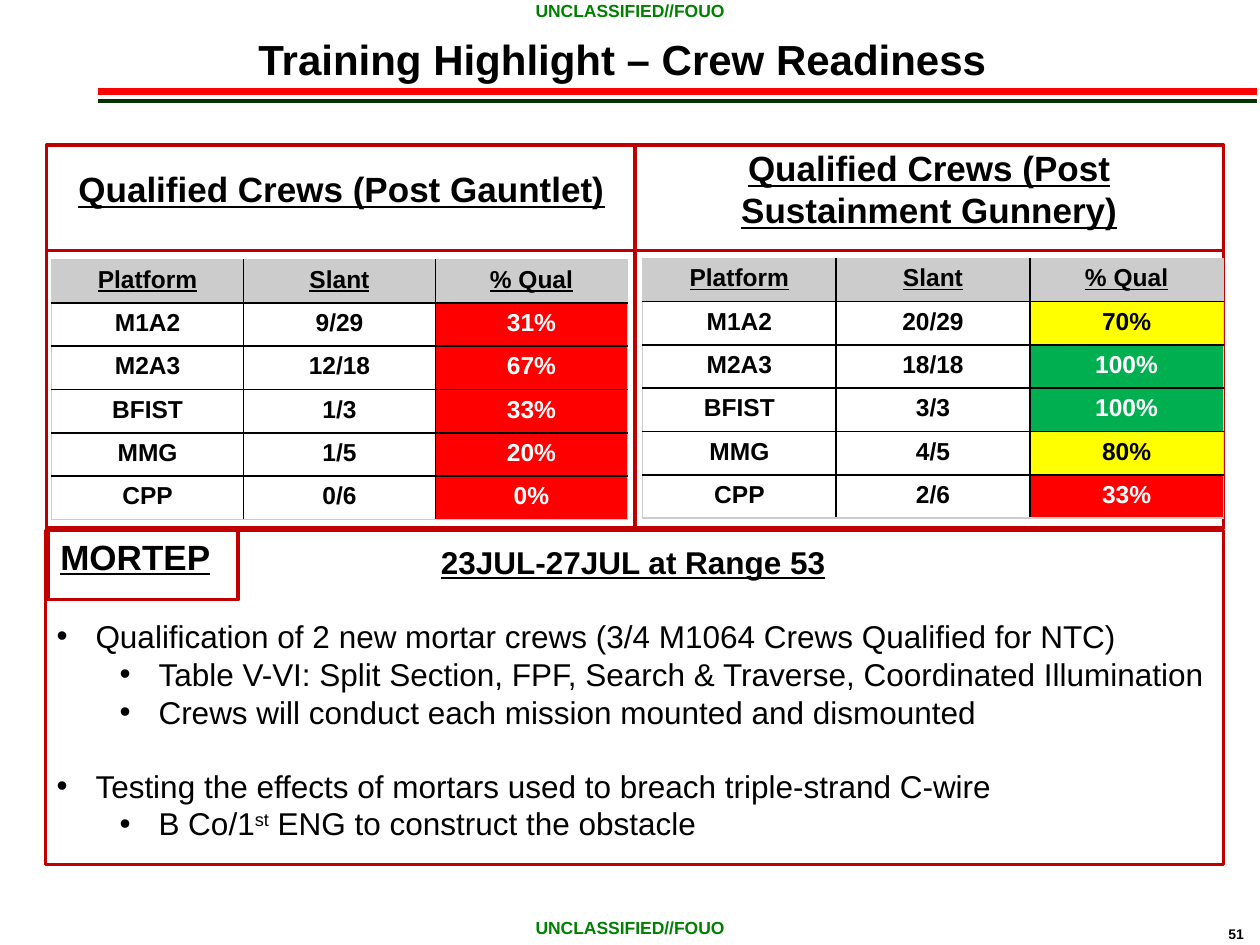
from lxml import etree
from pptx import Presentation
from pptx import util as u
from pptx.dml.color import RGBColor
from pptx.enum import shapes, text
from pptx.oxml import ns

BLACK = RGBColor(0, 0, 0)
WHITE = RGBColor(255, 255, 255)
RED = RGBColor(255, 0, 0)
YELLOW = RGBColor(255, 255, 0)
GREEN = RGBColor(0, 0xB0, 0x50)
GRAY = RGBColor(0xCC, 0xCC, 0xCC)
CRIMSON = RGBColor(0xC0, 0, 0)
MARKING_GREEN = RGBColor(0, 0x80, 0)
DARK_GREEN = RGBColor(0, 0x33, 0)

CENTER = text.PP_ALIGN.CENTER
LEFT = text.PP_ALIGN.LEFT
TOP = text.MSO_ANCHOR.TOP
MIDDLE = text.MSO_ANCHOR.MIDDLE

TITLE = "Training Highlight – Crew Readiness"
MARKING = "UNCLASSIFIED//FOUO"
PAGE_NUMBER = "51"
RULES = [(0.73, RED, 4), (0.8, DARK_GREEN, 2.25)]
COLUMNS = ["Platform", "Slant", "% Qual"]
PANELS = [
    {
        "heading": "Qualified Crews (Post Gauntlet)",
        "panel": (0.37, 4.68),
        "table": (0.41, 2.06, 4.57),
        "crews": [("M1A2", "9/29", 31), ("M2A3", "12/18", 67), ("BFIST", "1/3", 33),
                  ("MMG", "1/5", 20), ("CPP", "0/6", 0)],
    },
    {
        "heading": "Qualified Crews (Post Sustainment Gunnery)",
        "panel": (5.04, 4.67),
        "table": (5.1, 2.05, 4.61),
        "crews": [("M1A2", "20/29", 70), ("M2A3", "18/18", 100), ("BFIST", "3/3", 100),
                  ("MMG", "4/5", 80), ("CPP", "2/6", 33)],
    },
]
MORTAR_LABEL = "MORTEP"
MORTAR_DATE = "23JUL-27JUL at Range 53"
MORTAR_NOTES = [
    (0, ["Qualification of 2 new mortar crews (3/4 M1064 Crews Qualified for NTC)"]),
    (1, ["Table V-VI: Split Section, FPF, Search & Traverse, Coordinated Illumination"]),
    (1, ["Crews will conduct each mission mounted and dismounted"]),
    (0, ["Testing the effects of mortars used to breach triple-strand C-wire"]),
    (1, ["B Co/1", "st", " ENG to construct the obstacle"]),
]
ROW_HEIGHT = 0.344
BLANK_LINE = 20.7


def set_font(font, size, color=BLACK, **extra):
    values = {"name": "Arial", "size": u.Pt(size), **extra}
    for name, value in values.items():
        setattr(font, name, value)
    font.color.rgb = color


def write(box, content, size, color=BLACK, align=CENTER, anchor=TOP, wrap=True, **extra):
    frame = box.text_frame
    frame.word_wrap = wrap
    frame.vertical_anchor = anchor
    para = frame.paragraphs[0]
    para.alignment = align
    span = para.add_run()
    span.text = content
    set_font(span.font, size, color, bold=True, **extra)
    return frame


def add_text(page, place, content, size, **extra):
    box = page.shapes.add_textbox(*map(u.Inches, place))
    return write(box, content, size, **extra)


def add_frame(page, place):
    box = page.shapes.add_shape(shapes.MSO_SHAPE.RECTANGLE, *map(u.Inches, place))
    box.shadow.inherit = False
    box.fill.solid()
    box.fill.fore_color.rgb = WHITE
    box.line.color.rgb = CRIMSON
    box.line.width = u.Pt(2)
    return box


def add_heading(page, place, content, align=CENTER):
    frame = write(add_frame(page, place), content, 20, align=align, anchor=MIDDLE, underline=True)
    frame.margin_top = u.Inches(0.03)
    frame.margin_bottom = u.Inches(0.17)


def add_rule(page, y, color, width):
    ends = [u.Inches(value) for value in (0.78, y, 9.98, y)]
    line = page.shapes.add_connector(shapes.MSO_CONNECTOR.STRAIGHT, *ends)
    line.line.color.rgb = color
    line.line.width = u.Pt(width)
    etree.SubElement(line._element.spPr, ns.qn("a:effectLst"))


def add_borders(cell, outer_sides):
    props = cell._tc.get_or_add_tcPr()
    for side in "LRTB":
        line = etree.SubElement(props, ns.qn("a:ln" + side), w=str(u.Pt(1)))
        fill = etree.SubElement(line, ns.qn("a:solidFill"))
        color = GRAY if side in outer_sides else BLACK
        etree.SubElement(fill, ns.qn("a:srgbClr"), val=str(color))


def status_color(percent):
    if percent >= 90:
        return GREEN
    return YELLOW if percent >= 70 else RED


def add_crew_table(page, place, crews):
    left, top, width = place
    rows = [COLUMNS] + crews
    size = (left, top, width, ROW_HEIGHT * len(rows))
    table = page.shapes.add_table(len(rows), len(COLUMNS), *map(u.Inches, size)).table
    last_row, last_column = len(rows) - 1, len(COLUMNS) - 1
    for r, row in enumerate(rows):
        for c, value in enumerate(row):
            cell = table.cell(r, c)
            outer = {"L": c == 0, "R": c == last_column, "T": r == 0, "B": r == last_row}
            add_borders(cell, [side for side, is_outer in outer.items() if is_outer])
            fill, color = (GRAY if r == 0 else WHITE), BLACK
            if r and c == last_column:
                fill = status_color(value)
                color = BLACK if fill == YELLOW else WHITE
                value = f"{value}%"
            cell.fill.solid()
            cell.fill.fore_color.rgb = fill
            write(cell, value, 14, color, underline=r == 0)


def add_notes(frame):
    for index, (level, pieces) in enumerate(MORTAR_NOTES):
        para = frame.add_paragraph()
        para.level = level
        if level == 0:
            para.space_before = u.Pt(BLANK_LINE)
        props = para._p.get_or_add_pPr()
        props.set("marL", str(u.Inches(0.31 + 0.5 * level)))
        props.set("indent", str(u.Inches(-0.31)))
        etree.SubElement(props, ns.qn("a:buFont"), typeface="Arial")
        etree.SubElement(props, ns.qn("a:buChar"), char="•")
        for piece in pieces:
            span = para.add_run()
            span.text = piece
            set_font(span.font, 18)
            if piece == "st":
                span._r.get_or_add_rPr().set("baseline", "30000")


def main():
    deck = Presentation()
    deck.slide_width, deck.slide_height = u.Inches(10), u.Inches(7.5)
    page = deck.slides.add_slide(deck.slide_layouts[6])

    for rule in RULES:
        add_rule(page, *rule)
    add_text(page, (9.65, 7.3, 0.34, 0.24), PAGE_NUMBER, 8, align=LEFT, wrap=False)
    for top in (-0.05, 7.23):
        add_text(page, (3.98, top, 2.04, 0.44), MARKING, 10, color=MARKING_GREEN)
    add_text(page, (0.37, 0.1, 9.14, 0.73), TITLE, 24, anchor=MIDDLE)

    for panel in PANELS:
        left, width = panel["panel"]
        add_frame(page, (left, 1.54, width, 2.65))
        add_heading(page, (left, 1.15, width, 0.84), panel["heading"])
    for panel in PANELS:
        add_crew_table(page, panel["table"], panel["crews"])

    add_frame(page, (0.36, 4.21, 9.35, 2.65))
    notes = add_text(page, (0.35, 4.26, 9.35, 2.52), MORTAR_DATE, 18, underline=True)
    add_notes(notes)
    add_heading(page, (0.38, 4.21, 1.51, 0.55), MORTAR_LABEL, LEFT)
    deck.save("out.pptx")


if __name__ == "__main__":
    main()
